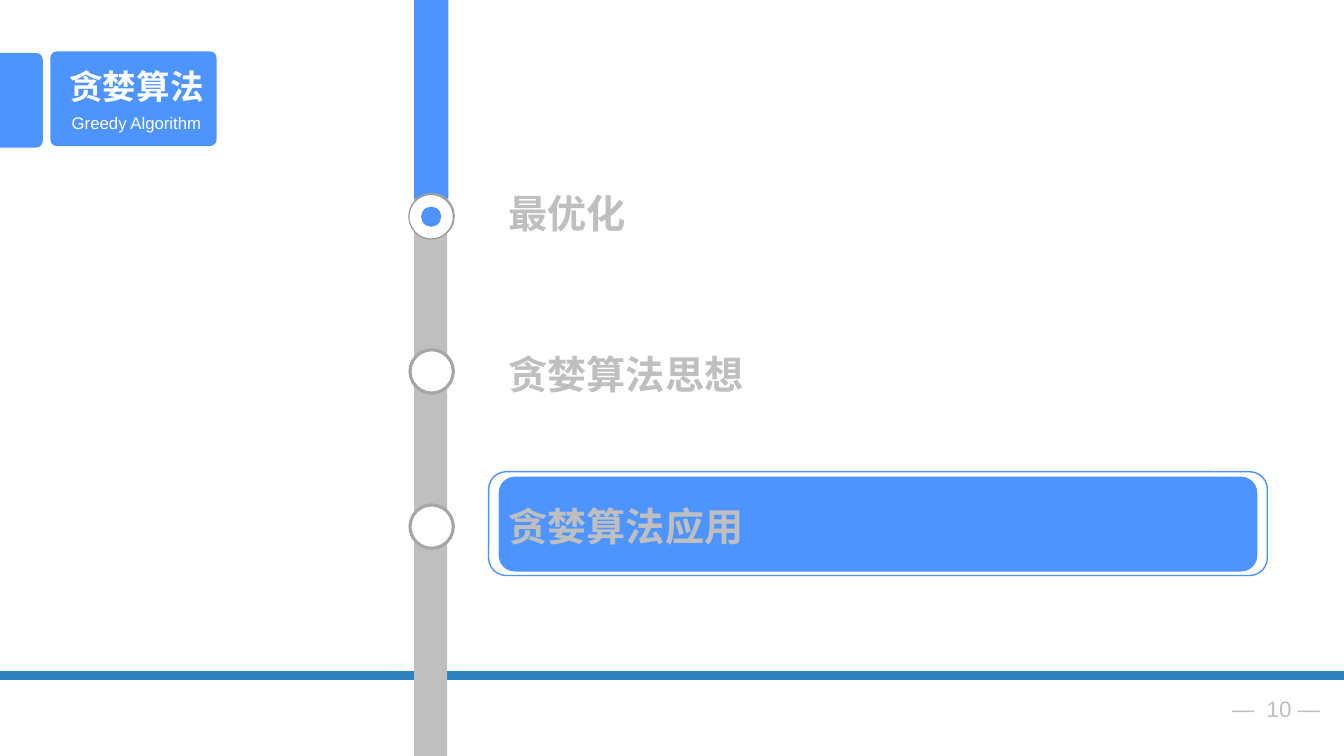
from dataclasses import dataclass

from lxml import etree
from pptx import Presentation
from pptx.dml.color import RGBColor
from pptx.enum.shapes import MSO_CONNECTOR, MSO_SHAPE as Shape
from pptx.enum.text import MSO_AUTO_SIZE, PP_ALIGN as Align
from pptx.oxml.ns import qn
from pptx.util import Inches, Pt


@dataclass(frozen=True)
class Theme:
    accent: str = "4D94FF"
    rule: str = "2E81BC"
    muted: str = "BFBFBF"
    ring: str = "A6A6A6"
    active_ring: str = "969696"
    white: str = "FFFFFF"
    font: str = "Arial"
    title_font: str = "Calibri"
    subtitle_size: int = 12
    page_size: int = 16
    title_size: int = 24
    topic_size: int = 28


class SlideBuilder:
    def __init__(self, slide, theme):
        self.shapes = slide.shapes
        self.theme = theme

    def shape(self, kind, box, fill=None, line=None, weight=1, corner=None, rotation=0):
        item = self.shapes.add_shape(kind, *map(Inches, box))
        item.shadow.inherit = False
        item.rotation = rotation
        if corner is not None:
            item.adjustments[0] = corner
        if fill:
            item.fill.solid()
            item.fill.fore_color.rgb = RGBColor.from_string(fill)
        else:
            item.fill.background()
        if line:
            item.line.color.rgb = RGBColor.from_string(line)
            item.line.width = Pt(weight)
        else:
            item.line.fill.background()

    def rule(self, left, right, y, color, weight):
        item = self.shapes.add_connector(
            MSO_CONNECTOR.STRAIGHT, Inches(left), Inches(y), Inches(right), Inches(y))
        item.line.color.rgb = RGBColor.from_string(color)
        item.line.width = Pt(weight)
        etree.SubElement(item._element.spPr, qn("a:effectLst"))

    def text(self, words, box, size, color, font=None, bold=False, align=Align.LEFT, wrap=True):
        frame = self.shapes.add_textbox(*map(Inches, box)).text_frame
        frame.word_wrap = wrap
        frame.auto_size = MSO_AUTO_SIZE.SHAPE_TO_FIT_TEXT
        paragraph = frame.paragraphs[0]
        paragraph.text = words
        paragraph.alignment = align
        paragraph.font.name = font or self.theme.font
        paragraph.font.size = Pt(size)
        paragraph.font.bold = bold
        paragraph.font.color.rgb = RGBColor.from_string(color)


def main():
    deck = Presentation()
    deck.slide_width, deck.slide_height = Inches(13.34), Inches(7.5)
    theme = Theme()
    page = SlideBuilder(deck.slides.add_slide(deck.slide_layouts[6]), theme)

    page.rule(0, 13.34, 6.7, theme.rule, 6)
    page.shape(Shape.ROUND_2_SAME_RECTANGLE, (-0.26, 0.78, 0.94, 0.43),
               theme.accent, corner=0.16, rotation=90)
    page.shape(Shape.ROUNDED_RECTANGLE, (0.5, 0.51, 1.65, 0.94), theme.accent, corner=0.07)
    page.text("贪婪算法", (0.53, 0.6, 1.65, 0.51), theme.title_size, theme.white,
              font=theme.title_font, bold=True, align=Align.CENTER)
    page.text("Greedy Algorithm", (0.53, 1.07, 1.65, 0.3), theme.subtitle_size,
              theme.white, align=Align.CENTER)

    page.shape(Shape.RECTANGLE, (4.11, 0, 0.33, 7.5), theme.muted)
    page.shape(Shape.RECTANGLE, (4.11, 0, 0.34, 1.97), theme.accent)
    for step in range(3):
        page.shape(Shape.OVAL, (4.07, 1.93 + 1.54 * step, 0.43, 0.43),
                   theme.white, theme.ring, 2.25)
    page.shape(Shape.OVAL, (4.06, 1.93, 0.44, 0.44), theme.white, theme.active_ring, 0.75)
    page.shape(Shape.OVAL, (4.18, 2.05, 0.2, 0.2), theme.accent)

    page.shape(Shape.ROUNDED_RECTANGLE, (4.95, 4.73, 7.53, 0.94), theme.accent, corner=0.17)
    page.shape(Shape.ROUNDED_RECTANGLE, (4.85, 4.68, 7.73, 1.03),
               line=theme.accent, corner=0.17)
    topics = (("最优化", 1.83, 6.84), ("贪婪算法思想", 3.43, 5.61), ("贪婪算法应用", 4.93, 7.28))
    for topic, top, width in topics:
        page.text(topic, (4.95, top, width, 0.57), theme.topic_size, theme.muted, bold=True)

    page.text("—  10 —", (12.13, 6.85, 1.17, 0.37), theme.page_size, theme.muted, wrap=False)
    deck.save("out.pptx")


if __name__ == "__main__":
    main()
